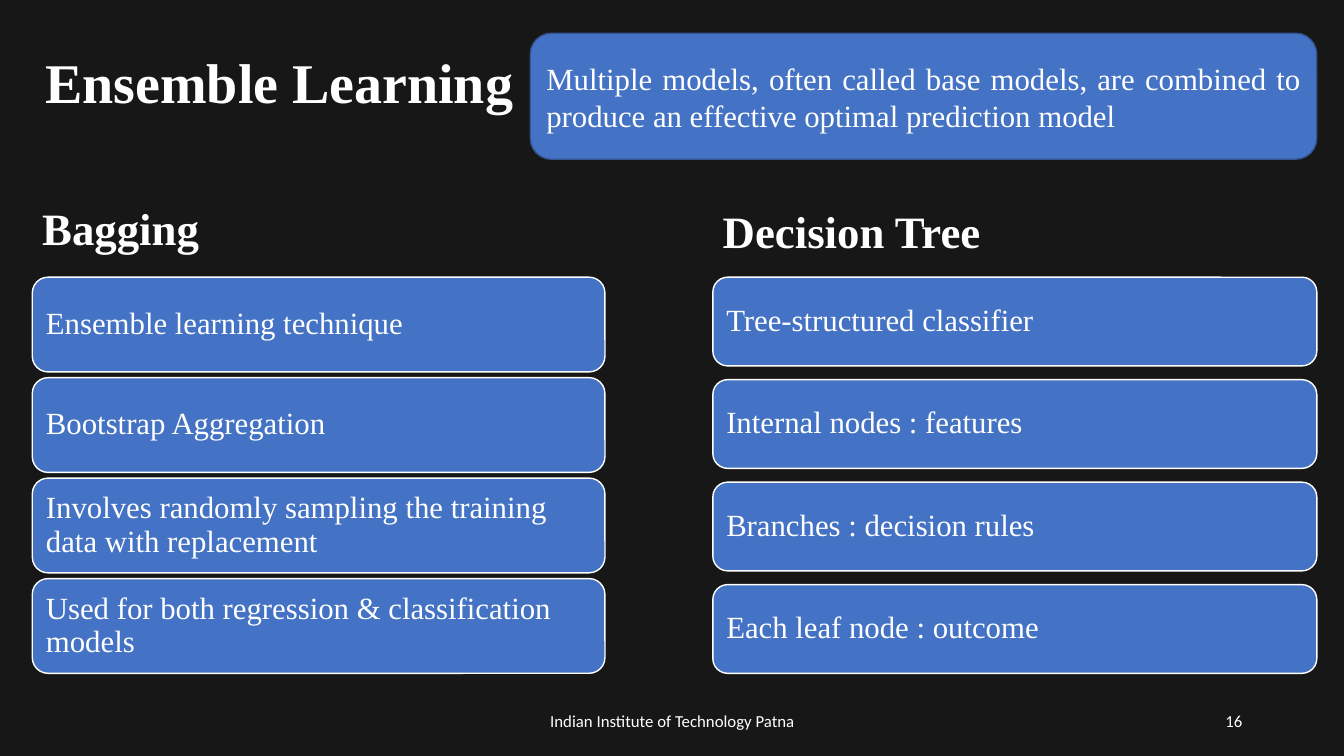
from dataclasses import dataclass

import pptx
import pptx.dml.color
import pptx.enum.shapes
import pptx.enum.text
import pptx.util

Inches = pptx.util.Inches
Align = pptx.enum.text.PP_ALIGN
Anchor = pptx.enum.text.MSO_ANCHOR


@dataclass(frozen=True)
class Theme:
    background: str = "181717"
    text: str = "FFFFFF"
    card: str = "4472C4"
    card_line: str = "FFFFFF"
    banner_line: str = "325491"
    serif: str = "Times New Roman"
    sans: str = "Calibri"
    title_size: int = 40
    heading_size: int = 32
    body_size: int = 22
    footer_size: int = 12


class SlideBuilder:
    def __init__(self, deck, theme):
        self.theme = theme
        self.page = deck.slides.add_slide(deck.slide_layouts[6])
        self.page.background.fill.solid()
        self.page.background.fill.fore_color.rgb = self.color(theme.background)

    def color(self, value):
        return pptx.dml.color.RGBColor.from_string(value)

    def set_text(self, box, text, size, font, bold=False, align=Align.LEFT,
                 anchor=Anchor.MIDDLE, spacing=1.0):
        frame = box.text_frame
        frame.word_wrap = True
        frame.vertical_anchor = anchor
        para = frame.paragraphs[0]
        para.alignment = align
        para.line_spacing = spacing
        span = para.add_run()
        span.text = text
        span.font.size = pptx.util.Pt(size)
        span.font.name = font
        span.font.bold = bold
        span.font.color.rgb = self.color(self.theme.text)

    def label(self, area, text, size, font, **style):
        box = self.page.shapes.add_textbox(*map(Inches, area))
        self.set_text(box, text, size, font, **style)

    def heading(self, area, text, size, **style):
        self.label(area, text, size, self.theme.serif, bold=True, **style)

    def footer(self, area, text, align):
        self.label(area, text, self.theme.footer_size, self.theme.sans, align=align)

    def panel(self, shapes, area, text, line, **style):
        kind = pptx.enum.shapes.MSO_SHAPE.ROUNDED_RECTANGLE
        box = shapes.add_shape(kind, *map(Inches, area))
        box.shadow.inherit = False
        box.fill.solid()
        box.fill.fore_color.rgb = self.color(self.theme.card)
        box.line.color.rgb = self.color(line)
        box.line.width = pptx.util.Pt(1)
        self.set_text(box, text, self.theme.body_size, self.theme.serif, **style)
        return box

    def banner(self, area, text):
        self.panel(self.page.shapes, area, text, self.theme.banner_line,
                   align=Align.JUSTIFY)

    def card_column(self, area, card_height, texts):
        left, top, width, height = area
        pitch = (height - card_height) / (len(texts) - 1)
        group = self.page.shapes.add_group_shape()
        for index, text in enumerate(texts):
            card_area = (left, top + index * pitch, width, card_height)
            box = self.panel(group.shapes, card_area, text,
                             self.theme.card_line, spacing=0.9)
            frame = box.text_frame
            frame.margin_left = frame.margin_right = Inches(0.09)
            frame.margin_top = frame.margin_bottom = Inches(0.09)


def main():
    deck = pptx.Presentation()
    deck.slide_width = Inches(13.33)
    deck.slide_height = Inches(7.5)
    theme = Theme()
    slide = SlideBuilder(deck, theme)

    slide.heading((0.32, 1.96, 5.04, 0.67), "Bagging", theme.heading_size, spacing=0.9)
    slide.footer((4.42, 6.95, 4.5, 0.4), "Indian Institute of Technology Patna", Align.CENTER)
    slide.footer((9.42, 6.95, 3, 0.4), "16", Align.RIGHT)
    slide.heading((0.28, 0.32, 4.98, 1.05), "Ensemble Learning", theme.title_size,
                  align=Align.CENTER, spacing=0.9)
    slide.heading((7.07, 1.97, 4.77, 0.64), "Decision Tree", theme.heading_size,
                  anchor=Anchor.TOP)
    slide.card_column((7.07, 2.75, 5.99, 3.93), 0.88, [
        "Tree-structured classifier",
        "Internal nodes : features",
        "Branches : decision rules",
        "Each leaf node : outcome",
    ])
    slide.card_column((0.32, 2.75, 5.68, 3.93), 0.94, [
        "Ensemble learning technique",
        "Bootstrap Aggregation",
        "Involves randomly sampling the training data with replacement",
        "Used for both regression & classification models",
    ])
    slide.banner((5.26, 0.33, 7.8, 1.25),
                 "Multiple models, often called base models, are combined to "
                 "produce an effective optimal prediction model")
    deck.save("out.pptx")


if __name__ == "__main__":
    main()
